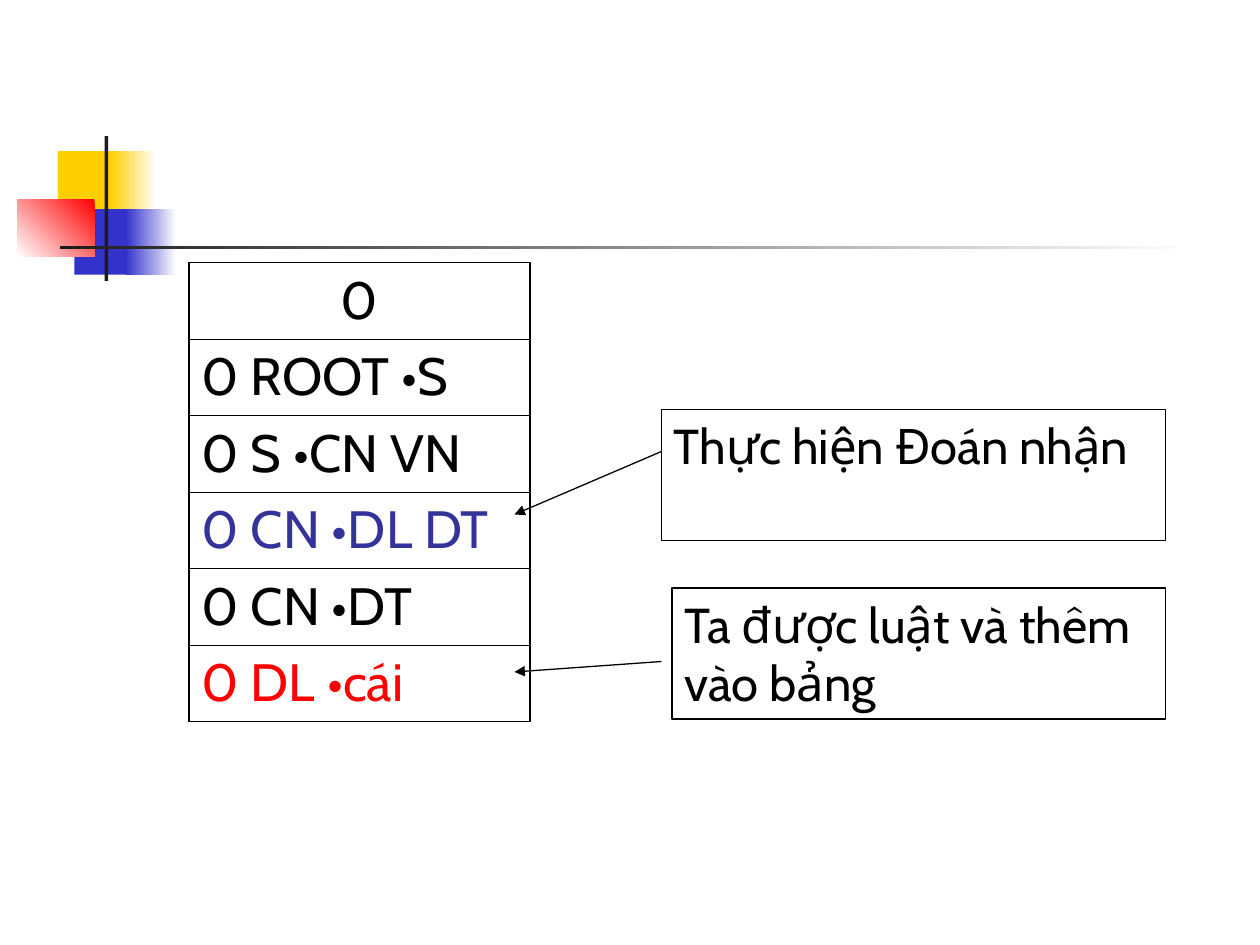
from lxml.etree import SubElement
from pptx import Presentation
from pptx.dml.color import RGBColor
from pptx.enum.shapes import MSO_CONNECTOR, MSO_SHAPE
from pptx.enum.text import MSO_ANCHOR, PP_ALIGN
from pptx.oxml import parse_xml
from pptx.oxml.ns import nsdecls, qn
from pptx.util import Inches, Pt

COLS, ROWS = 120, 90
FONT = "Cabin"
BLACK, WHITE, DARK = "000000", "FFFFFF", "1C1C1C"
YELLOW, BLUE, RED, INDIGO = "FFCF01", "3333CC", "FF0000", "333399"
THIN, TABLE_THIN, TABLE_THICK = 0.74, 0.45, 1.08

MOTIF = [
    ((5.52, 14.4, 5.76, 6.24), [YELLOW], 0),
    ((10.56, 14.4, 4.32, 6.24), [WHITE, YELLOW], 180),
    ((7.08, 19.92, 5.52, 6.24), [BLUE], 0),
    ((12, 19.92, 4.8, 6.24), [WHITE, BLUE], 180),
    ((1.68, 18.96, 7.32, 5.52), [RED, WHITE], 225),
    ((9.96, 12.96, 0.36, 13.8), [DARK], 0),
    ((5.76, 23.4, 108, 0.36), [WHITE, DARK], 180),
]
CHART_ROWS = [
    ("0", BLACK),
    ("0 ROOT •S", BLACK),
    ("0 S •CN VN", BLACK),
    ("0 CN •DL DT", INDIGO),
    ("0 CN •DT", BLACK),
    ("0 DL •cái", RED),
]
NOTES = [
    ("Thực hiện Đoán nhận", (63, 39, 48, 12.5), (63, 43, 49, 49)),
    ("Ta được luật và thêm vào bảng", (64, 56, 47, 12.5), (63, 63, 49, 64)),
]


def grid(*units):
    """Turn grid units into slide lengths."""
    return [Inches(u * 10 / COLS) for u in units]


def color(value):
    """Return the colour for a hex string."""
    return RGBColor.from_string(value)


def set_attrs(obj, values):
    """Set every attribute named in a dict."""
    for name, value in values.items():
        setattr(obj, name, value)


def write(tf, text, size, hex_color, before, align=PP_ALIGN.LEFT):
    """Write one formatted paragraph into a text frame."""
    p = tf.paragraphs[0]
    set_attrs(p, {"alignment": align, "space_before": Pt(before)})
    r = p.add_run()
    r.text = text
    set_attrs(r.font, {"size": Pt(size), "name": FONT, "bold": False})
    r.font.color.rgb = color(hex_color)


def add_block(slide, box, colors, angle):
    """Add a borderless rectangle with a plain or gradient fill."""
    sp = slide.shapes.add_shape(MSO_SHAPE.RECTANGLE, *grid(*box))
    sp.shadow.inherit = False
    sp.line.fill.background()
    if len(colors) == 1:
        sp.fill.solid()
        sp.fill.fore_color.rgb = color(colors[0])
        return
    sp.fill.gradient()
    sp.fill.gradient_angle = angle
    for position, (stop, value) in enumerate(zip(sp.fill.gradient_stops, colors)):
        stop.color.rgb = color(value)
        stop.position = position


def add_note(slide, text, box):
    """Add an outlined text rectangle."""
    sp = slide.shapes.add_shape(MSO_SHAPE.RECTANGLE, *grid(*box))
    sp.shadow.inherit = False
    sp.fill.background()
    sp.line.color.rgb = color(BLACK)
    sp.line.width = Pt(THIN)
    set_attrs(sp.text_frame, {"word_wrap": True, "vertical_anchor": MSO_ANCHOR.TOP})
    write(sp.text_frame, text, 28, BLACK, 17.5)


def add_arrow(slide, ends):
    """Add a straight line with an arrowhead at its end."""
    line = slide.shapes.add_connector(MSO_CONNECTOR.STRAIGHT, *grid(*ends))
    line.line.color.rgb = color(BLACK)
    line.line.width = Pt(THIN)
    ln = line.line._get_or_add_ln()
    SubElement(ln, qn("a:tailEnd"), type="triangle")
    SubElement(line._element.spPr, qn("a:effectLst"))


def set_borders(cell, widths):
    """Draw the four cell borders with widths in points."""
    tc_pr = cell._tc.get_or_add_tcPr()
    for i, (side, width) in enumerate(widths.items()):
        tc_pr.insert(i, parse_xml(
            f'<a:ln{side} {nsdecls("a")} w="{Pt(width)}"><a:solidFill>'
            f'<a:srgbClr val="{BLACK}"/></a:solidFill></a:ln{side}>'))


def add_state_table(slide, left, top, width, row_height):
    """Add the one-column table of parser states."""
    last = len(CHART_ROWS) - 1
    box = grid(left, top, width, row_height * len(CHART_ROWS))
    table = slide.shapes.add_table(len(CHART_ROWS), 1, *box).table
    set_attrs(table, {"first_row": False, "horz_banding": False})
    for i, (text, hex_color) in enumerate(CHART_ROWS):
        table.rows[i].height = grid(row_height)[0]
        cell = table.cell(i, 0)
        cell.fill.background()
        align = PP_ALIGN.LEFT if i else PP_ALIGN.CENTER
        write(cell.text_frame, text, 30, hex_color, 7.5, align)
        set_borders(cell, {
            "L": TABLE_THICK,
            "R": TABLE_THICK,
            "T": TABLE_THIN if i else TABLE_THICK,
            "B": TABLE_THICK if i == last else TABLE_THIN,
        })


def main():
    """Build and save the slide."""
    prs = Presentation()
    width, height = grid(COLS, ROWS)
    set_attrs(prs, {"slide_width": width, "slide_height": height})
    slide = prs.slides.add_slide(prs.slide_layouts[6])
    for block in MOTIF:
        add_block(slide, *block)
    add_state_table(slide, 18, 25, 32.5, 7.28)
    for text, box, ends in NOTES:
        add_note(slide, text, box)
        add_arrow(slide, ends)
    prs.save("out.pptx")


main()
